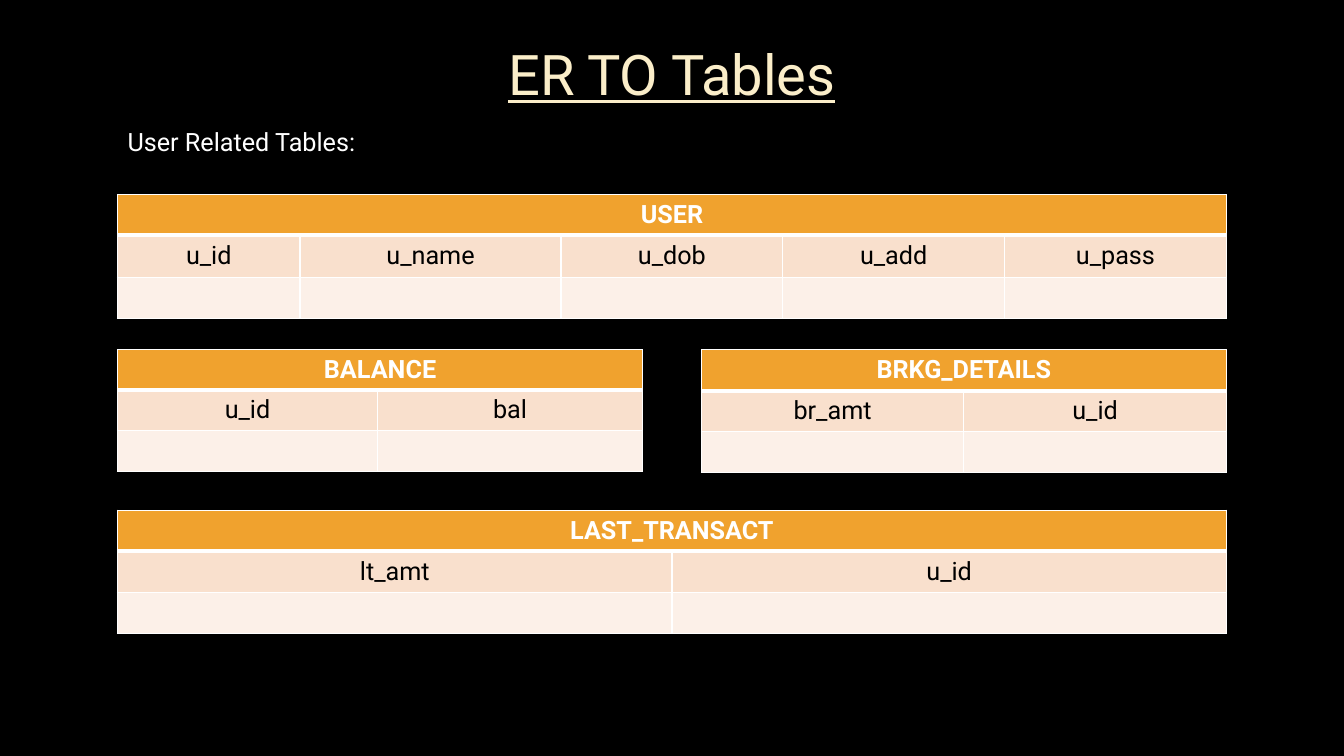
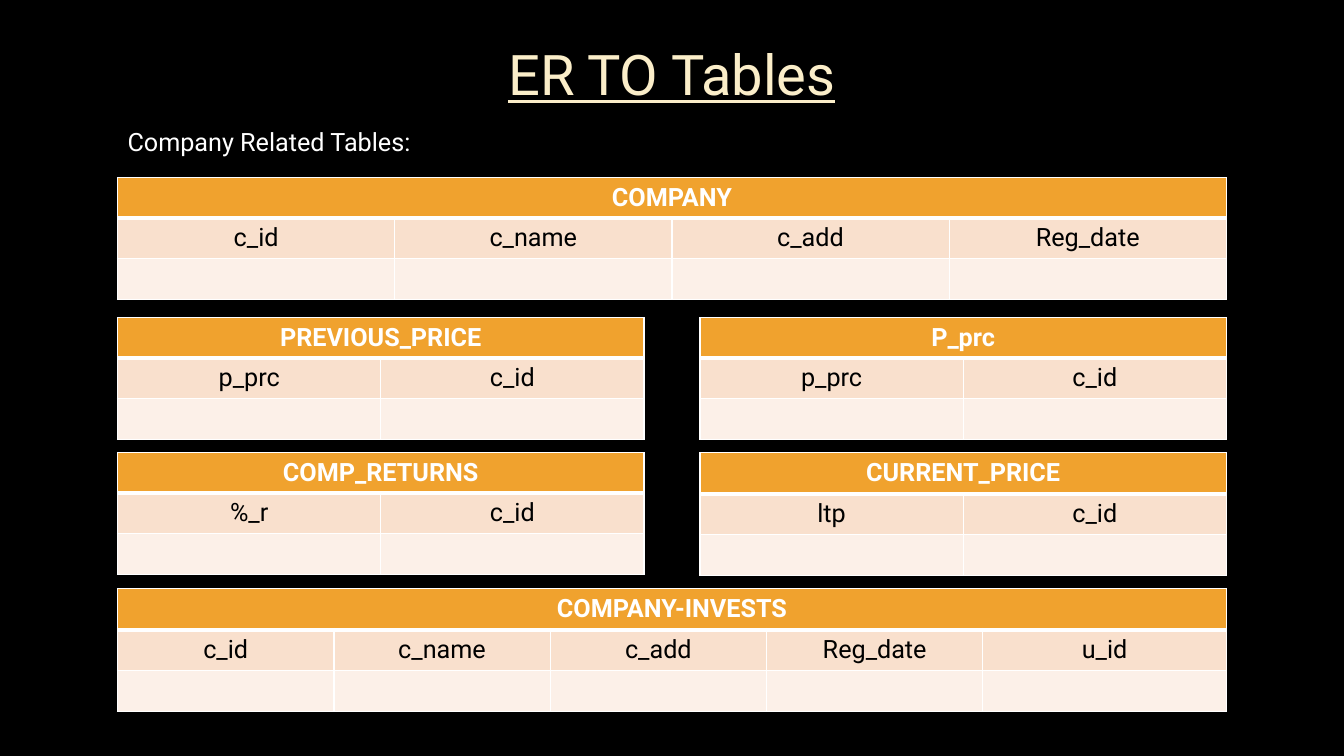
from lxml import etree
from pptx import Presentation
from pptx import util as u
from pptx.dml.color import RGBColor
from pptx.enum import text
from pptx.oxml import ns


class Theme:
    font = "Roboto"
    background = "000000"
    title = "FBEEC9"
    light = "FFFFFF"
    dark = "000000"
    rows = ("F0A22E", "F9E0CD", "FCF0E8")
    title_size = 40
    body_size = 18
    line = 1
    heavy_line = 3


def add_text(tf, value, size=Theme.body_size, color=Theme.light, bold=False,
             underline=False, align=text.PP_ALIGN.LEFT, anchor=text.MSO_ANCHOR.TOP):
    tf.word_wrap = True
    tf.vertical_anchor = anchor
    p = tf.paragraphs[0]
    p.alignment = align
    r = p.add_run()
    r.text = value
    r.font.name = Theme.font
    r.font.size = u.Pt(size)
    r.font.bold = bold
    r.font.underline = underline
    r.font.color.rgb = RGBColor.from_string(color)


def add_border(cell, side, width):
    tc_pr = cell._tc.get_or_add_tcPr()
    ln = etree.SubElement(tc_pr, ns.qn(f"a:ln{side}"), w=str(u.Pt(width)))
    fill = etree.SubElement(ln, ns.qn("a:solidFill"))
    etree.SubElement(fill, ns.qn("a:srgbClr"), val=Theme.light)


LEFT, WIDTH = 84, 792
TALL = (29.3, 29.3, 29.3)
MEDIUM = (28.6, 28.6, 29.3)
SHORT = (28.2, 28.2, 29.3)
CENTERED = {"align": text.PP_ALIGN.CENTER, "anchor": text.MSO_ANCHOR.MIDDLE}

SLIDES = [
    ("User Related Tables:", 375, [
        ("USER", "full", 139, (28.2, 30.2, 29.3),
         {"u_id": 1.81, "u_name": 2.59, "u_dob": 2.2, "u_add": 2.2, "u_pass": 2.2}),
        ("BALANCE", "left", 249.8, MEDIUM, {"u_id": 2.58, "bal": 2.63}),
        ("BRKG_DETAILS", "right", 249.8, TALL, {"br_amt": 1, "u_id": 1}),
        ("LAST_TRANSACT", "full", 364.5, TALL, {"lt_amt": 1, "u_id": 1}),
    ]),
    ("Company Related Tables:", 376, [
        ("COMPANY", "full", 127, SHORT,
         {"c_id": 1, "c_name": 1, "c_add": 1, "Reg_date": 1}),
        ("PREVIOUS_PRICE", "left", 227, SHORT, {"p_prc": 1, "c_id": 1}),
        ("P_prc", "right", 227, SHORT, {"p_prc": 1, "c_id": 1}),
        ("COMP_RETURNS", "left", 323.5, MEDIUM, {"%_r": 1, "c_id": 1}),
        ("CURRENT_PRICE", "right", 323.5, TALL, {"ltp": 1, "c_id": 1}),
        ("COMPANY-INVESTS", "full", 420.5, TALL,
         {"c_id": 2.15, "c_name": 2.15, "c_add": 2.15, "Reg_date": 2.15, "u_id": 2.42}),
    ]),
]

prs = Presentation()
prs.slide_width, prs.slide_height = u.Pt(960), u.Pt(540)

for subtitle, half_width, tables in SLIDES:
    s = prs.slides.add_slide(prs.slide_layouts[6])
    s.background.fill.solid()
    s.background.fill.fore_color.rgb = RGBColor.from_string(Theme.background)

    title = s.shapes.add_textbox(u.Pt(LEFT), u.Pt(-10.8), u.Pt(WIDTH), u.Pt(126.7))
    add_text(title.text_frame, "ER TO Tables", size=Theme.title_size,
             color=Theme.title, underline=True, **CENTERED)
    heading = s.shapes.add_textbox(u.Pt(LEFT), u.Pt(86.4), u.Pt(466.6), u.Pt(29))
    add_text(heading.text_frame, subtitle)

    for name, side, top, heights, columns in tables:
        width = WIDTH if side == "full" else half_width
        left = LEFT + WIDTH - width if side == "right" else LEFT
        table = s.shapes.add_table(
            len(heights), len(columns), u.Pt(left), u.Pt(top),
            u.Pt(width), u.Pt(sum(heights))).table
        table.first_row = table.horz_banding = False
        for column, weight in zip(table.columns, columns.values()):
            column.width = u.Pt(width * weight / sum(columns.values()))

        for i, (row, height) in enumerate(zip(table.rows, heights)):
            row.height = u.Pt(height)
            for cell in row.cells:
                add_border(cell, "L", Theme.line)
                add_border(cell, "R", Theme.line)
                add_border(cell, "T", Theme.heavy_line if i == 1 else Theme.line)
                add_border(cell, "B", Theme.heavy_line if i == 0 else Theme.line)
                cell.fill.solid()
                cell.fill.fore_color.rgb = RGBColor.from_string(Theme.rows[i])

        header = table.cell(0, 0)
        header.merge(table.cell(0, len(columns) - 1))
        header.vertical_anchor = text.MSO_ANCHOR.MIDDLE
        add_text(header.text_frame, name, bold=True, **CENTERED)
        for j, field in enumerate(columns):
            cell = table.cell(1, j)
            cell.vertical_anchor = text.MSO_ANCHOR.MIDDLE
            add_text(cell.text_frame, field, color=Theme.dark, **CENTERED)

prs.save("out.pptx")
